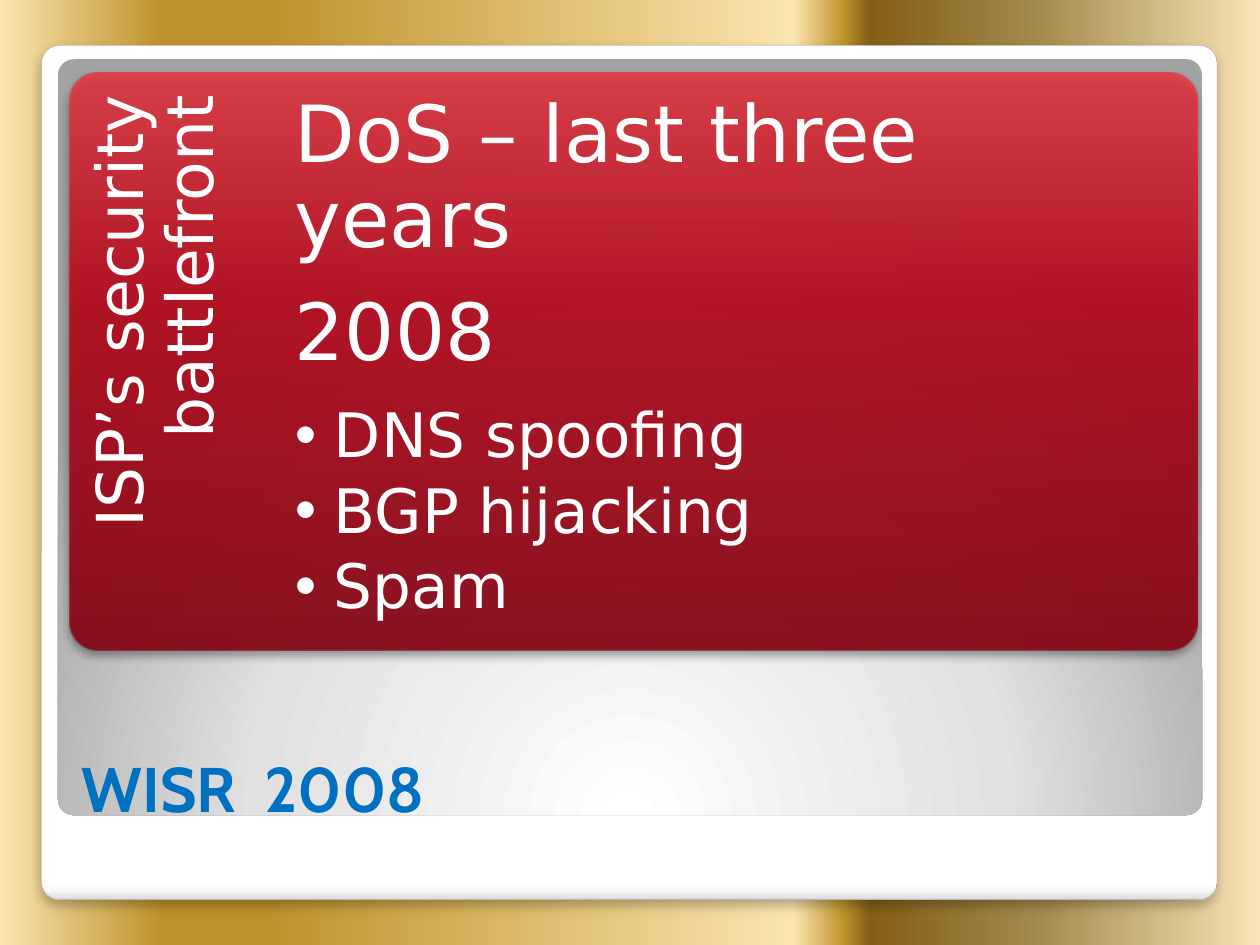
from lxml.etree import SubElement
from pptx import Presentation
from pptx.dml.color import RGBColor
from pptx.enum.shapes import MSO_SHAPE
from pptx.enum.text import MSO_ANCHOR, MSO_AUTO_SIZE, PP_ALIGN
from pptx.oxml.ns import qn
from pptx.util import Inches, Pt

COLORS = {
    "white": "FFFFFF", "blue": "0070C0", "edge": "A4A4A4", "black": "000000",
    "cream": "FBE4AE", "gold": "BD922A", "brown": "835E17", "khaki": "A28949",
    "sand": "FAE3B7", "offwhite": "F7F7F7", "pale": "DADADA", "silver": "E1E1E1",
    "gray": "A2A2A2", "maroon": "870614", "crimson": "B80B1E", "red": "E13C45",
}


def set_gradient(owner, fill, stops, angle=None, alpha=100):
    fill.gradient()
    grad = owner._element.find(".//" + qn("a:gradFill"))
    for child in list(grad):
        grad.remove(child)
    gs_list = SubElement(grad, qn("a:gsLst"))
    for pos, name in stops:
        gs = SubElement(gs_list, qn("a:gs"), pos=str(pos * 1000))
        clr = SubElement(gs, qn("a:srgbClr"), val=COLORS[name])
        if alpha < 100:
            SubElement(clr, qn("a:alpha"), val=str(alpha * 1000))
    if angle is None:
        circle = SubElement(grad, qn("a:path"), path="circle")
        SubElement(circle, qn("a:fillToRect"), l="50000", t="175000", r="50000", b="-75000")
    else:
        SubElement(grad, qn("a:lin"), ang=str(angle * 60000), scaled="0")


def style_text(p, size, font, color, bold=False):
    for r in p.runs:
        r.font.size = Pt(size)
        r.font.name = font
        r.font.bold = bold
        r.font.color.rgb = RGBColor.from_string(COLORS[color])


prs = Presentation()
prs.slide_width, prs.slide_height = Inches(10), Inches(7.5)
s = prs.slides.add_slide(prs.slide_layouts[1])
title, body = s.shapes.title, s.placeholders[1]

set_gradient(s, s.background.fill, [
    (0, "cream"), (13, "gold"), (21, "gold"), (63, "cream"),
    (67, "gold"), (69, "brown"), (82, "khaki"), (100, "sand")], 0)

panels = [
    ((0.33, 0.36, 9.33, 6.78), 0.021, 90, 100, (25, 6, 4),
     [(0, "white"), (98, "white"), (99, "offwhite"), (100, "pale")]),
    ((0.46, 0.47, 9.08, 6), 0.021, None, 100, None,
     [(0, "white"), (55, "silver"), (100, "gray")]),
    ((0.55, 0.58, 8.95, 4.58), 0.05, 270, 90, (40, 5.2, 3),
     [(0, "maroon"), (60, "crimson"), (100, "red")]),
]
shapes = []
for box, radius, angle, alpha, shadow, stops in panels:
    sp = s.shapes.add_shape(MSO_SHAPE.ROUNDED_RECTANGLE, *[Inches(v) for v in box])
    sp.adjustments[0] = radius
    sp.line.fill.background()
    sp.shadow.inherit = False
    set_gradient(sp, sp.fill, stops, angle, alpha)
    if shadow:
        opacity, blur, dist = shadow
        effects = sp._element.spPr.find(qn("a:effectLst"))
        outer = SubElement(effects, qn("a:outerShdw"), blurRad=str(Pt(blur)),
                           dist=str(Pt(dist)), dir="5400000", rotWithShape="0")
        clr = SubElement(outer, qn("a:srgbClr"), val=COLORS["black"])
        SubElement(clr, qn("a:alpha"), val=str(opacity * 1000))
    shapes.append(sp)
frame, backdrop, card = shapes
frame.line.color.rgb = RGBColor.from_string(COLORS["edge"])
frame.line.width = Pt(0.16)

title.left, title.top, title.width, title.height = [Inches(v) for v in (0.55, 5.45, 8.95, 1.15)]
tf = title.text_frame
tf.text = "WISR  2008"
tf.auto_size = MSO_AUTO_SIZE.NONE
tf.vertical_anchor = MSO_ANCHOR.BOTTOM
tf.paragraphs[0].alignment = PP_ALIGN.LEFT
style_text(tf.paragraphs[0], 36, "Cabin", "blue", True)
backdrop._element.addnext(title._element)

label = s.shapes.add_textbox(*[Inches(v) for v in (-0.43, 1.56, 3.76, 1.79)])
label.rotation = 270
tf = label.text_frame
tf.word_wrap = True
tf.margin_left = tf.margin_bottom = 0
tf.margin_top, tf.margin_right = Inches(0.14), Inches(0.18)
p = tf.paragraphs[0]
p.text = "ISP’s security battlefront"
p.alignment = PP_ALIGN.RIGHT
p.line_spacing = 0.9
style_text(p, 37, "DejaVu Sans", "white")

body.left, body.top, body.width, body.height = [Inches(v) for v in (2.34, 0.58, 6.67, 4.58)]
tf = body.text_frame
tf.auto_size = MSO_AUTO_SIZE.NONE
tf.vertical_anchor = MSO_ANCHOR.TOP
tf.margin_left = tf.margin_right = tf.margin_bottom = 0
tf.margin_top = Inches(0.17)
lines = [("DoS – last three years", 0), ("2008", 0),
         ("DNS spoofing", 1), ("BGP hijacking", 1), ("Spam", 1)]
tf.text = "\n".join(text for text, level in lines)
for p, (text, level) in zip(tf.paragraphs, lines):
    size, gap, indent = [(45, 0.35, 0), (35, 0.15, 0.31)][level]
    p.level = level
    p.line_spacing = 0.9
    p.space_before = Pt(0)
    p.space_after = Pt(size * gap)
    style_text(p, size, "DejaVu Sans", "white")
    pPr = p._p.get_or_add_pPr()
    pPr.set("marL", str(Inches(indent)))
    pPr.set("indent", str(-Inches(indent)))
    if level:
        SubElement(pPr, qn("a:buChar"), char="•")
    else:
        SubElement(pPr, qn("a:buNone"))
label._element.addnext(body._element)

prs.save("out.pptx")
